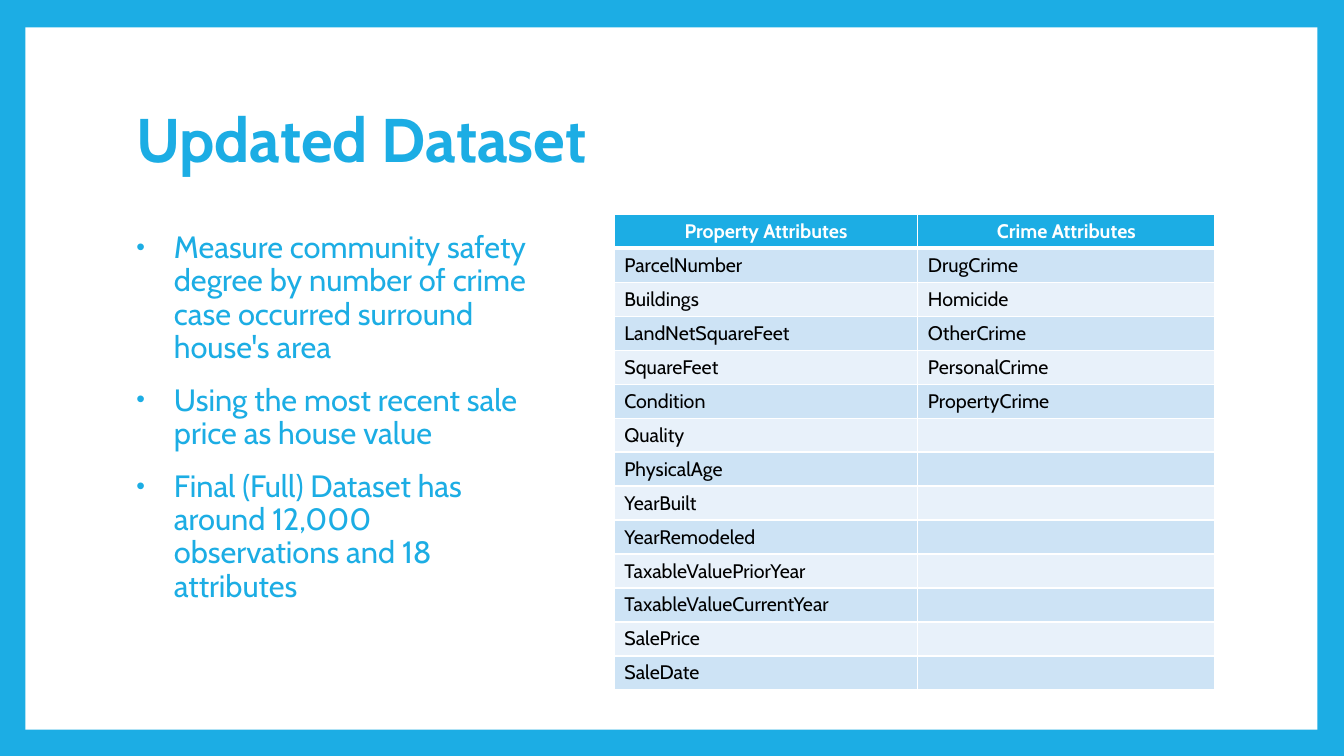
"""Builds the "Updated Dataset" slide with its bullet list and attribute table."""
from dataclasses import dataclass
from itertools import zip_longest

from lxml import etree
from pptx import Presentation
from pptx.dml.color import RGBColor
from pptx.enum.shapes import MSO_SHAPE
from pptx.enum.text import MSO_ANCHOR, MSO_AUTO_SIZE, PP_ALIGN
from pptx.oxml.ns import qn
from pptx.util import Cm, Pt

RECTANGLE = MSO_SHAPE.RECTANGLE
TOP, MIDDLE = MSO_ANCHOR.TOP, MSO_ANCHOR.MIDDLE
LEFT, CENTER = PP_ALIGN.LEFT, PP_ALIGN.CENTER
NO_AUTOFIT = MSO_AUTO_SIZE.NONE

TITLE = "Updated Dataset"
FINDINGS = [
    "Measure community safety degree by number of crime case occurred surround house's area",
    "Using the most recent sale price as house value",
    "Final (Full) Dataset has around 12,000 observations and 18 attributes",
]
ATTRIBUTES = {
    "Property Attributes": [
        "ParcelNumber", "Buildings", "LandNetSquareFeet", "SquareFeet", "Condition",
        "Quality", "PhysicalAge", "YearBuilt", "YearRemodeled", "TaxableValuePriorYear",
        "TaxableValueCurrentYear", "SalePrice", "SaleDate",
    ],
    "Crime Attributes": [
        "DrugCrime", "Homicide", "OtherCrime", "PersonalCrime", "PropertyCrime",
    ],
}


@dataclass(frozen=True)
class Theme:
    font: str = "Cabin"
    accent: str = "1CADE4"
    paper: str = "FFFFFF"
    ink: str = "000000"
    bands: tuple = ("E8F1FA", "CDE3F5")
    title_size: int = 44
    list_size: int = 22
    table_size: int = 14


class SlideBuilder:
    def __init__(self, slide, theme):
        self.slide = slide
        self.theme = theme

    def style(self, paragraph, size, color, bold=False):
        font = paragraph.font
        font.name, font.size, font.bold = self.theme.font, Pt(size), bold
        font.color.rgb = RGBColor.from_string(color)

    def place(self, shape, left, top, width, height, anchor):
        shape.left, shape.top = Cm(left), Cm(top)
        shape.width, shape.height = Cm(width), Cm(height)
        frame = shape.text_frame
        frame.word_wrap, frame.auto_size = True, NO_AUTOFIT
        frame.vertical_anchor = anchor
        return frame

    def frame(self, left, top, width, height):
        background = self.slide.background.fill
        background.solid()
        background.fore_color.rgb = RGBColor.from_string(self.theme.accent)
        shapes = self.slide.shapes
        panel = shapes.add_shape(RECTANGLE, Cm(left), Cm(top), Cm(width), Cm(height))
        panel.shadow.inherit = False
        panel.fill.solid()
        panel.fill.fore_color.rgb = RGBColor.from_string(self.theme.paper)
        panel.line.fill.background()
        shapes[0].element.addprevious(panel.element)

    def title(self, text, *box):
        heading = self.place(self.slide.shapes.title, *box, MIDDLE).paragraphs[0]
        heading.text = text
        heading.alignment, heading.line_spacing = LEFT, 0.9
        self.style(heading, self.theme.title_size, self.theme.accent, bold=True)

    def bullets(self, items, *box):
        body = self.place(self.slide.placeholders[1], *box, TOP)
        body.text = "\n".join(items)
        for item in body.paragraphs:
            properties = item._p.get_or_add_pPr()
            properties.set("marL", str(Cm(0.95)))
            properties.set("indent", str(-Cm(0.95)))
            color = etree.SubElement(properties, qn("a:buClr"))
            etree.SubElement(color, qn("a:srgbClr"), val=self.theme.accent)
            etree.SubElement(properties, qn("a:buSzPct"), val="80000")
            etree.SubElement(properties, qn("a:buFont"), typeface="Arial")
            etree.SubElement(properties, qn("a:buChar"), char="•")
            item.line_spacing, item.space_before = 0.9, Pt(14)
            self.style(item, self.theme.list_size, self.theme.accent)

    def cell(self, cell, text, fill, color, header, borders):
        for side, width in borders.items():
            line = etree.SubElement(
                cell._tc.get_or_add_tcPr(), qn(f"a:ln{side}"), w=str(Pt(width)))
            solid = etree.SubElement(line, qn("a:solidFill"))
            etree.SubElement(solid, qn("a:srgbClr"), val=self.theme.paper)
        cell.fill.solid()
        cell.fill.fore_color.rgb = RGBColor.from_string(fill)
        label = cell.text_frame.paragraphs[0]
        label.text = text
        label.alignment = CENTER if header else LEFT
        self.style(label, self.theme.table_size, color, bold=header)

    def table(self, columns, left, top, widths, row_height):
        theme = self.theme
        rows = [tuple(columns), *zip_longest(*columns.values(), fillvalue="")]
        table = self.slide.shapes.add_table(
            len(rows), len(widths), Cm(left), Cm(top),
            Cm(sum(widths)), Cm(row_height * len(rows))).table
        for column, width in zip(table.columns, widths):
            column.width = Cm(width)
        for r, texts in enumerate(rows):
            table.rows[r].height = Cm(row_height)
            header = r == 0
            fill = theme.accent if header else theme.bands[r % 2]
            color = theme.paper if header else theme.ink
            borders = {"L": 1, "R": 1, "T": 3 if r == 1 else 1, "B": 3 if header else 1}
            for c, text in enumerate(texts):
                self.cell(table.cell(r, c), text, fill, color, header, borders)


def main():
    presentation = Presentation()
    presentation.slide_width, presentation.slide_height = Cm(33.87), Cm(19.05)
    slide = presentation.slides.add_slide(presentation.slide_layouts[1])
    builder = SlideBuilder(slide, Theme())
    builder.frame(0.64, 0.69, 32.56, 17.7)
    builder.title(TITLE, 3.18, 1.7, 27.43, 3.76)
    builder.bullets(FINDINGS, 3.18, 5.72, 10.52, 11.23)
    builder.table(ATTRIBUTES, 15.48, 5.4, (7.65, 7.49), 0.81)
    presentation.save("out.pptx")


if __name__ == "__main__":
    main()
